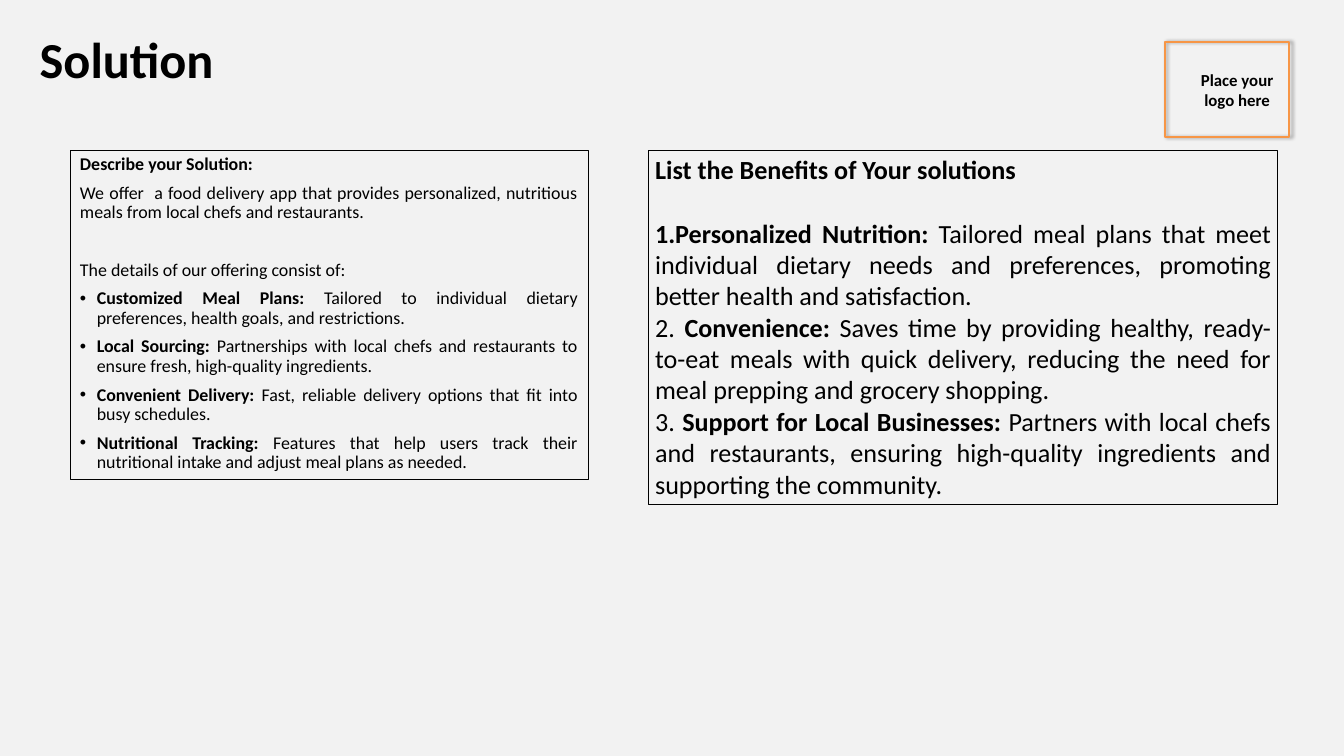
from dataclasses import dataclass

from lxml import etree
from pptx import Presentation
from pptx.dml.color import RGBColor
from pptx.enum.shapes import MSO_SHAPE
from pptx.enum.text import MSO_ANCHOR, MSO_AUTO_SIZE, PP_ALIGN
from pptx.oxml import parse_xml
from pptx.oxml.ns import nsdecls, qn
from pptx.util import Inches, Pt

RECTANGLE = MSO_SHAPE.RECTANGLE
TOP = MSO_ANCHOR.TOP
NO_AUTOFIT = MSO_AUTO_SIZE.NONE
LEFT, CENTER, JUSTIFY = PP_ALIGN.LEFT, PP_ALIGN.CENTER, PP_ALIGN.JUSTIFY


@dataclass(frozen=True)
class Theme:
    font: str = "Calibri"
    background: str = "F2F2F2"
    ink: str = "000000"
    accent: str = "F79646"
    title_size: float = 54
    benefit_size: float = 28
    solution_size: float = 19.2
    logo_size: float = 18
    thin: float = 0.75
    thick: float = 2


class SlideBuilder:
    """Draws on one slide; boxes are (left, top, width, height) in percent of the slide."""

    def __init__(self, presentation, theme):
        self.theme = theme
        self.width, self.height = presentation.slide_width, presentation.slide_height
        self.slide = presentation.slides.add_slide(presentation.slide_layouts[5])
        fill = self.slide.background.fill
        fill.solid()
        fill.fore_color.rgb = RGBColor.from_string(theme.background)

    def place(self, box):
        sides = (self.width, self.height) * 2
        return [round(side * share / 100) for side, share in zip(sides, box)]

    def add_text(self, shape, paragraphs, size, insets):
        """Each paragraph is (format values, [(text, bold), ...])."""
        frame = shape.text_frame
        across, down = (Inches(inset) for inset in insets)
        frame_format = dict(word_wrap=True, auto_size=NO_AUTOFIT, vertical_anchor=TOP,
                            margin_left=across, margin_right=across,
                            margin_top=down, margin_bottom=down)
        for name, value in frame_format.items():
            setattr(frame, name, value)
        for index, (paragraph_format, runs) in enumerate(paragraphs):
            paragraph = frame.add_paragraph() if index else frame.paragraphs[0]
            for name, value in paragraph_format.items():
                if name == "bullet":
                    self.bullet(paragraph, value)
                else:
                    setattr(paragraph, name, value)
            for text, bold in runs:
                run = paragraph.add_run()
                run.text = text
                font_format = dict(name=self.theme.font, size=Pt(size), bold=bold)
                for name, value in font_format.items():
                    setattr(run.font, name, value)
                run.font.color.rgb = RGBColor.from_string(self.theme.ink)

    def bullet(self, paragraph, character):
        properties = paragraph._p.get_or_add_pPr()
        indent = Inches(0.25)
        properties.set("marL", str(indent))
        properties.set("indent", str(-indent))
        etree.SubElement(properties, qn("a:buFont")).set("typeface", "Arial")
        etree.SubElement(properties, qn("a:buChar")).set("char", character)

    def title(self, box, text):
        shape = self.slide.shapes.title
        shape.left, shape.top, shape.width, shape.height = self.place(box)
        line = dict(alignment=LEFT, line_spacing=Pt(87.5))
        self.add_text(shape, [(line, [(text, True)])], self.theme.title_size, (0.15, 0.07))

    def label(self, box, text, size):
        shape = self.slide.shapes.add_textbox(*self.place(box))
        self.add_text(shape, [(dict(alignment=CENTER), [(text, True)])], size, (0.07, 0.04))

    def outline(self, box, color, weight):
        shape = self.slide.shapes.add_shape(RECTANGLE, *self.place(box))
        shape.shadow.inherit = False
        shape.fill.background()
        shape.line.color.rgb = RGBColor.from_string(color)
        shape.line.width = Pt(weight)
        return shape

    def panel(self, box, paragraphs, size, insets):
        shape = self.outline(box, self.theme.ink, self.theme.thin)
        self.add_text(shape, paragraphs, size, insets)

    def logo_frame(self, box):
        shape = self.outline(box, self.theme.accent, self.theme.thick)
        effects = shape._element.spPr.find(qn("a:effectLst"))
        effects.append(parse_xml(
            f'<a:outerShdw {nsdecls("a")} blurRad="{Pt(4)}" dist="{Pt(3)}" dir="0">'
            f'<a:srgbClr val="{self.theme.ink}"><a:alpha val="40000"/></a:srgbClr>'
            '</a:outerShdw>'))


def solution_paragraphs():
    heading = dict(alignment=LEFT, line_spacing=0.9, space_before=Pt(10))
    body = {**heading, "alignment": JUSTIFY}
    after_gap = {**body, "space_before": Pt(41)}
    item = {**body, "bullet": "•"}
    features = [
        ("Customized Meal Plans: ",
         "Tailored to individual dietary preferences, health goals, and restrictions."),
        ("Local Sourcing: ",
         "Partnerships with local chefs and restaurants to ensure fresh, "
         "high-quality ingredients."),
        ("Convenient Delivery: ",
         "Fast, reliable delivery options that fit into busy schedules."),
        ("Nutritional Tracking: ",
         "Features that help users track their nutritional intake and adjust "
         "meal plans as needed."),
    ]
    return [
        (heading, [("Describe your Solution:", True)]),
        (body, [("We offer  a food delivery app that provides personalized, nutritious "
                 "meals from local chefs and restaurants.", False)]),
        (after_gap, [("The details of our offering consist of:", False)]),
    ] + [(item, [(name, True), (detail, False)]) for name, detail in features]


def benefit_paragraphs():
    body = dict(alignment=JUSTIFY)
    after_gap = {**body, "space_before": Pt(34)}
    return [
        (dict(alignment=LEFT), [("List the Benefits of Your solutions", True)]),
        (after_gap, [("1.Personalized Nutrition: ", True),
                     ("Tailored meal plans that meet individual dietary needs and "
                      "preferences, promoting better health and satisfaction.", False)]),
        (body, [("2. ", False), ("Convenience:", True),
                (" Saves time by providing healthy, ready-to-eat meals with quick delivery, "
                 "reducing the need for meal prepping and grocery shopping.", False)]),
        (body, [("3. ", False), ("Support for Local Businesses: ", True),
                ("Partners with local chefs and restaurants, ensuring high-quality "
                 "ingredients and supporting the community.", False)]),
    ]


def main():
    presentation = Presentation()
    presentation.slide_width, presentation.slide_height = Inches(20), Inches(11.25)
    theme = Theme()
    builder = SlideBuilder(presentation, theme)
    panel_top = 19.91

    # Title
    builder.title((2.2, 0.27, 62.05, 11.47), "Solution")

    # Solution on the left
    builder.panel((5.2, panel_top, 38.55, 43.47), solution_paragraphs(),
                  theme.solution_size, (0.15, 0.07))

    # Space for the logo
    builder.label((88.15, 8.8, 7.8, 6.04), "Place your logo here", theme.logo_size)
    builder.logo_frame((86.65, 5.6, 9.25, 12.53))

    # Benefits on the right
    builder.panel((48.25, panel_top, 46.8, 46.84), benefit_paragraphs(),
                  theme.benefit_size, (0.1, 0.05))

    presentation.save("out.pptx")


if __name__ == "__main__":
    main()
